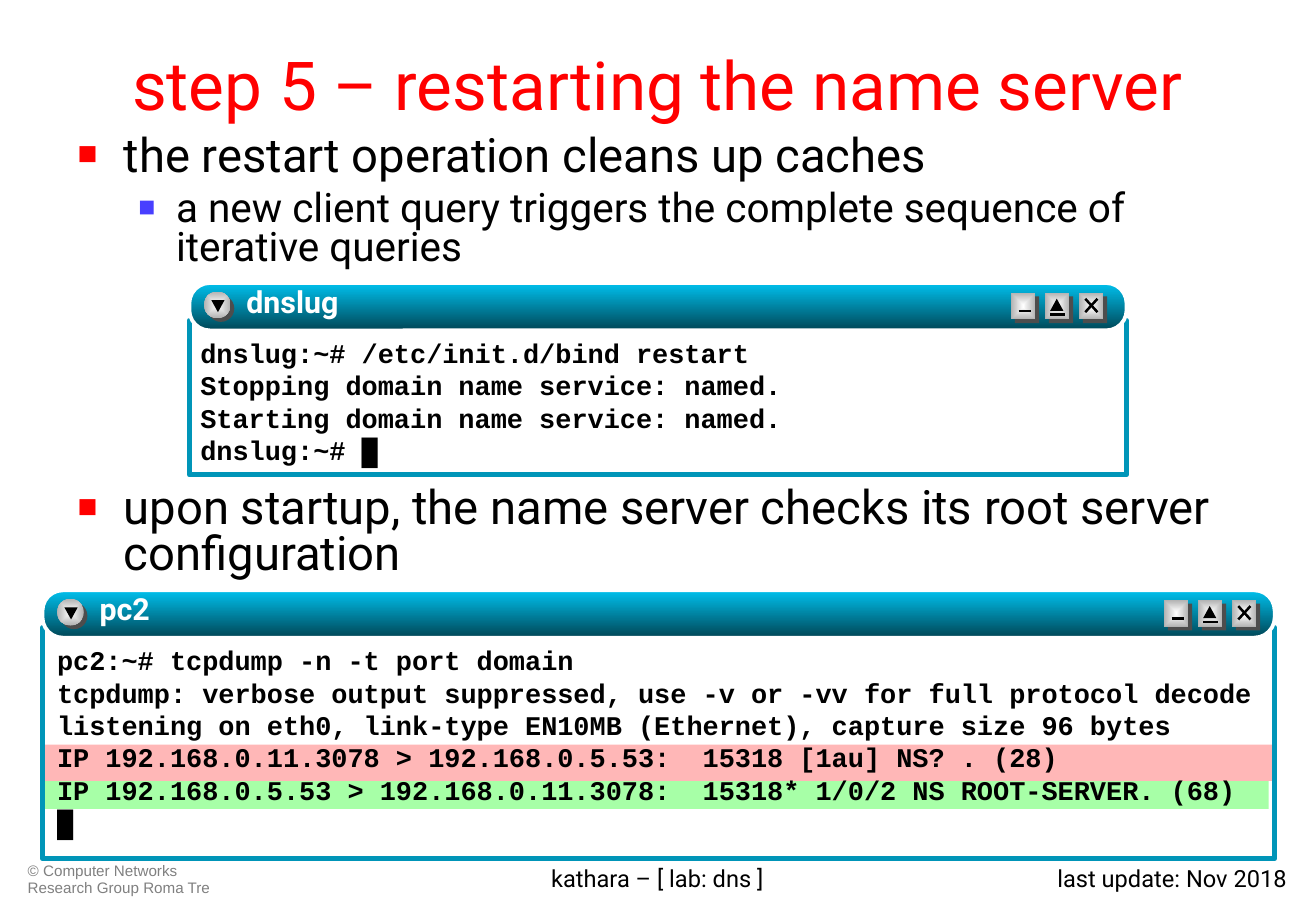
from lxml import etree
from pptx import Presentation
from pptx.dml.color import RGBColor
from pptx.enum.shapes import MSO_CONNECTOR as CONN, MSO_SHAPE as SHAPE
from pptx.enum.text import MSO_ANCHOR as ANCHOR, MSO_AUTO_SIZE as AUTO, PP_ALIGN as ALIGN
from pptx.oxml import parse_xml
from pptx.oxml.ns import nsdecls, qn
from pptx.util import Inches, Pt

THEME = dict(
    font="Roboto", mono="Courier New", small="Arial",
    title=40, bullets=(28, 24), bar_size=18, code=16, footer=14, copyright=9,
    red="FF0000", blue="483FFF", black="000000", white="FFFFFF", grey="808080",
    frame="0095B8", bar=("00C1EE", "004656"), button=("FFFFFF", "B2B2B2"),
    shade="4D4D4D", query="FFB7B7", answer="A7FFA7",
)

TITLE = "step 5 – restarting the name server"
BULLETS = [
    # level, space before, text
    (0, 0, "the restart operation cleans up caches"),
    (1, 6, "a new client query triggers the complete sequence of iterative queries"),
    (0, 130, "upon startup, the name server checks its root server configuration"),
]
LEVELS = [(0.38, 0.38, "red"), (0.81, 0.31, "blue")]
FOOTERS = [
    ("© Computer Networks Research Group Roma Tre", (0.13, 7.06, 1.88, 0.36),
     ALIGN.LEFT, "small", "copyright", "grey", 0.9),
    ("kathara – [ lab: dns ]", (2.77, 7.06, 5.29, 0.36),
     ALIGN.CENTER, "font", "footer", "black", 1.0),
    ("last update: Nov 2018", (8.23, 7.06, 2.47, 0.36),
     ALIGN.RIGHT, "font", "footer", "black", 1.0),
]
HIGHLIGHTS = [("answer", (0.35, 6.37, 10.1, 0.29)), ("query", (0.37, 6.13, 10.11, 0.3))]
WINDOWS = [
    dict(name="dnslug", x=1.56, y=2.33, w=7.72, h=1.58, pad=0.01, buttons=0.95, lines=[
        "dnslug:~# /etc/init.d/bind restart",
        "Stopping domain name service: named.",
        "Starting domain name service: named.",
        "dnslug:~# █",
    ]),
    dict(name="pc2", x=0.35, y=4.86, w=10.15, h=2.21, pad=0.04, buttons=0.91, lines=[
        "pc2:~# tcpdump -n -t port domain",
        "tcpdump: verbose output suppressed, use -v or -vv for full protocol decode",
        "listening on eth0, link-type EN10MB (Ethernet), capture size 96 bytes",
        "IP 192.168.0.11.3078 > 192.168.0.5.53:  15318 [1au] NS? . (28)",
        "IP 192.168.0.5.53 > 192.168.0.11.3078:  15318* 1/0/2 NS ROOT-SERVER. (68)",
        "█",
    ]),
]
BUTTON_STROKES = [
    [(0.06, 0.15, 0.16, 0.15)],
    [(0.04, 0.18, 0.16, 0.18)],
    [(0.05, 0.16, 0.15, 0.05), (0.05, 0.05, 0.15, 0.16)],
]
BAR_H, FRAME_DROP, BUTTON_STEP, SHADE = 0.39, 0.31, 0.28, 0.03


def rgb(name):
    return RGBColor.from_string(THEME.get(name, name))


def box(values):
    return [Inches(v) for v in values]


def place(sp, at):
    sp.left, sp.top, sp.width, sp.height = box(at)


def add_run(p, text, font, size, color, bold=False):
    r = p.add_run()
    r.text = text
    r.font.name, r.font.size, r.font.bold = THEME[font], Pt(size), bold
    r.font.color.rgb = rgb(color)
    return r


def add_text(shapes, at, insets=(0.1, 0.05)):
    tf = shapes.add_textbox(*box(at)).text_frame
    tf.word_wrap = True
    tf.margin_left = tf.margin_right = Inches(insets[0])
    tf.margin_top = tf.margin_bottom = Inches(insets[1])
    return tf


def add_shape(shapes, kind, at, fill=None, line=None, width=0):
    sp = shapes.add_shape(kind, *box(at))
    sp.shadow.inherit = False
    if fill is None:
        sp.fill.background()
    elif isinstance(THEME[fill], tuple):
        sp.fill.gradient()
        sp.fill.gradient_angle = 270
        for stop, color in zip(sp.fill.gradient_stops, THEME[fill]):
            stop.color.rgb = rgb(color)
    else:
        sp.fill.solid()
        sp.fill.fore_color.rgb = rgb(fill)
    if line:
        sp.line.color.rgb = rgb(line)
        sp.line.width = Pt(width)
    else:
        sp.line.fill.background()
    return sp


def add_stroke(shapes, ends):
    c = shapes.add_connector(CONN.STRAIGHT, *box(ends))
    c.line.color.rgb = rgb("black")
    c.line.width = Pt(1.5)
    etree.SubElement(c._element.spPr, qn("a:effectLst"))


def add_button(shapes, kind, x, y, w):
    add_shape(shapes, kind, (x + SHADE, y + SHADE, w, 0.22), "shade")
    face = add_shape(shapes, kind, (x, y, w, 0.22), "button")
    lin = face._element.spPr.find(".//" + qn("a:lin"))
    lin.getparent().replace(lin, parse_xml(
        f'<a:path {nsdecls("a")} path="rect">'
        '<a:fillToRect l="50000" t="50000" r="50000" b="50000"/></a:path>'))


def add_triangle(shapes, x, y):
    return add_shape(shapes, SHAPE.ISOSCELES_TRIANGLE, (x, y, 0.11, 0.1), "black")


def add_window(s, name, x, y, w, h, pad, buttons, lines):
    shapes = s.shapes.add_group_shape().shapes
    top = y + FRAME_DROP
    add_shape(shapes, SHAPE.RECTANGLE, (x, top, w, h - FRAME_DROP), line="frame", width=3)
    tf = add_text(shapes, (x + pad, top + 0.09, w - pad, h - FRAME_DROP - 0.1), (0.08, 0.04))
    for i, text in enumerate(lines):
        p = tf.add_paragraph() if i else tf.paragraphs[0]
        add_run(p, text, "mono", THEME["code"], "black", True)

    bar = add_shape(shapes, SHAPE.ROUNDED_RECTANGLE, (x, y, w, BAR_H), "bar", "white", 2.25)
    bar.adjustments[0] = 0.43
    add_button(shapes, SHAPE.OVAL, x + 0.12, y + 0.07, 0.22)
    add_triangle(shapes, x + 0.18, y + 0.14).rotation = 180
    for i, strokes in enumerate(BUTTON_STROKES):
        bx, by = x + w - buttons + i * BUTTON_STEP, y + 0.08
        add_button(shapes, SHAPE.RECTANGLE, bx, by, 0.2)
        for x1, y1, x2, y2 in strokes:
            add_stroke(shapes, (bx + x1, by + y1, bx + x2, by + y2))
        if i == 1:
            add_triangle(shapes, bx + 0.04, by + 0.05)

    tf = add_text(shapes, (x + 0.47, y, 3.06, BAR_H), (0, 0))
    r = add_run(tf.paragraphs[0], name, "font", THEME["bar_size"], "white", True)
    r.font.fill._xPr.find(qn("a:solidFill")).addnext(parse_xml(
        f'<a:effectLst {nsdecls("a")}><a:outerShdw dist="25400" dir="2700000">'
        '<a:srgbClr val="000000"/></a:outerShdw></a:effectLst>'))


def add_bullets(tf):
    tf.auto_size = AUTO.NONE
    for i, (level, before, text) in enumerate(BULLETS):
        p = tf.add_paragraph() if i else tf.paragraphs[0]
        p.level, p.line_spacing, p.space_before = level, 0.8, Pt(before)
        left, hang, color = LEVELS[level]
        pPr = p._p.get_or_add_pPr()
        pPr.set("marL", str(Inches(left)))
        pPr.set("indent", str(-Inches(hang)))
        for xml in (f'buClr {nsdecls("a")}><a:srgbClr val="{THEME[color]}"/></a:buClr>',
                    f'buSzPct {nsdecls("a")} val="70000"/>',
                    f'buFont {nsdecls("a")} typeface="Arial"/>',
                    f'buChar {nsdecls("a")} char="■"/>'):
            pPr.append(parse_xml("<a:" + xml))
        add_run(p, text, "font", THEME["bullets"][level], "black")


def main():
    """Build the name server restart slide."""
    prs = Presentation()
    prs.slide_width, prs.slide_height = Inches(10.84), Inches(7.5)
    s = prs.slides.add_slide(prs.slide_layouts[1])
    title, body = s.placeholders
    place(title, (0.54, 0.3, 9.75, 0.77))
    tf = title.text_frame
    tf.auto_size, tf.vertical_anchor = AUTO.NONE, ANCHOR.MIDDLE
    tf.paragraphs[0].alignment = ALIGN.CENTER
    add_run(tf.paragraphs[0], TITLE, "font", THEME["title"], "red")
    place(body, (0.54, 1.07, 9.75, 3.93))
    add_bullets(body.text_frame)

    for text, at, align, font, size, color, spacing in FOOTERS:
        p = add_text(s.shapes, at).paragraphs[0]
        p.alignment, p.line_spacing = align, spacing
        add_run(p, text, font, THEME[size], color)
    for color, at in HIGHLIGHTS:
        add_shape(s.shapes, SHAPE.RECTANGLE, at, color)
    for window in WINDOWS:
        add_window(s, **window)
    prs.save("out.pptx")


if __name__ == "__main__":
    main()
